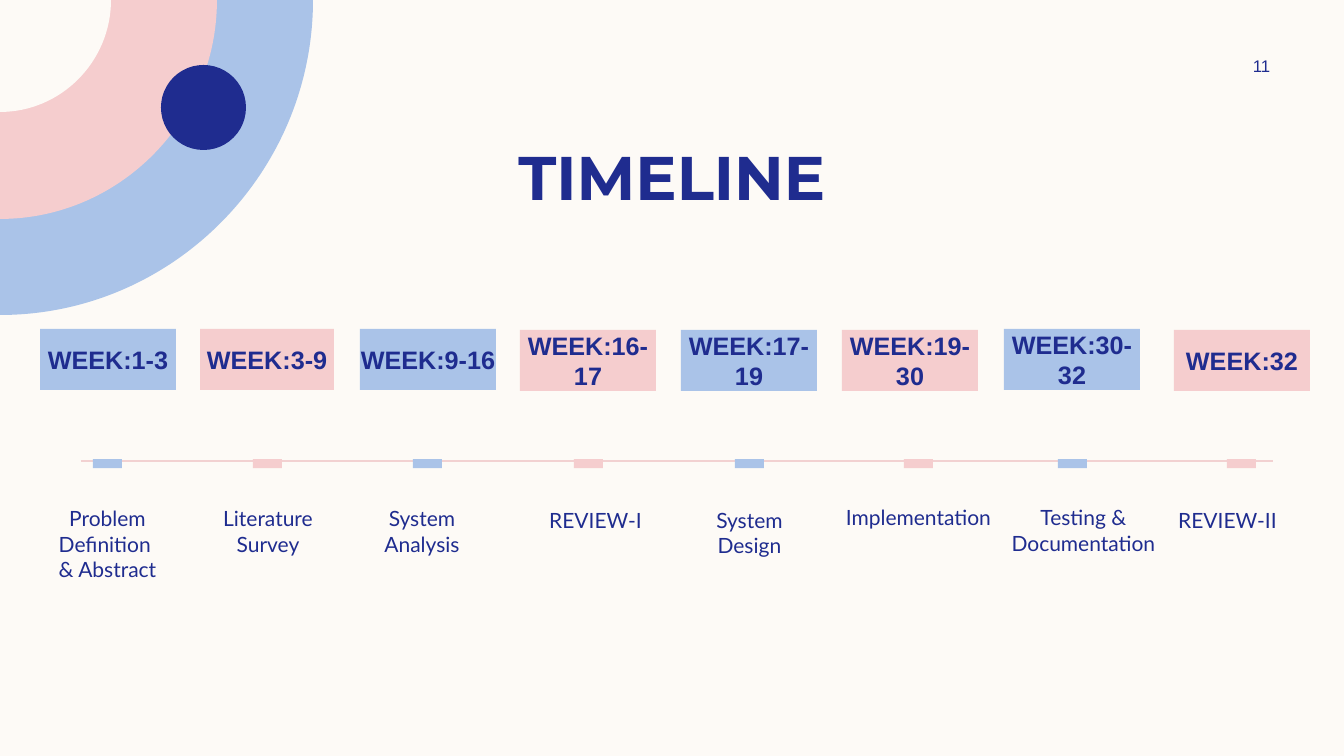
"""Build the project timeline slide with eight week milestones."""
from lxml import etree
from pptx import Presentation
from pptx.dml.color import RGBColor
from pptx.enum.shapes import MSO_CONNECTOR, MSO_SHAPE
from pptx.enum.text import MSO_ANCHOR, PP_ALIGN
from pptx.oxml.ns import qn
from pptx.util import Pt

SCALE = 914400 / 100.8
CREAM = RGBColor(0xFD, 0xFA, 0xF6)
BLUE = RGBColor(0xAA, 0xC3, 0xE8)
PINK = RGBColor(0xF5, 0xCD, 0xCE)
NAVY = RGBColor(0x1F, 0x2C, 0x8F)
LINE_PINK = RGBColor(0xF2, 0xD1, 0xD1)
RECTANGLE, OVAL = MSO_SHAPE.RECTANGLE, MSO_SHAPE.OVAL
STRAIGHT = MSO_CONNECTOR.STRAIGHT
CENTER = PP_ALIGN.CENTER
TOP, MIDDLE = MSO_ANCHOR.TOP, MSO_ANCHOR.MIDDLE
ROUNDNESS = 0.55


def px(*lengths):
    """Turn pixel lengths into EMU."""
    return [round(length * SCALE) for length in lengths]


def write(shape, text, font, size, bold=False, anchor=MIDDLE, inset=0):
    """Fill a shape with centred navy text."""
    frame = shape.text_frame
    frame.word_wrap = True
    frame.vertical_anchor = anchor
    frame.margin_left = frame.margin_right = 0
    frame.margin_top = frame.margin_bottom = px(inset)[0]
    frame.text = text
    for para in frame.paragraphs:
        para.alignment = CENTER
        para.font.name = font
        para.font.size = Pt(size)
        para.font.bold = bold
        para.font.color.rgb = NAVY


deck = Presentation()
deck.slide_width, deck.slide_height = px(1344, 756)
page = deck.slides.add_slide(deck.slide_layouts[5])
page.background.fill.solid()
page.background.fill.fore_color.rgb = CREAM
shapes = page.shapes

title = shapes.title
title.left, title.top, title.width, title.height = px(84, 133, 1176, 85)
write(title, "TIMELINE", "Montserrat", 44, bold=True, inset=5)

for radius_x, radius_y, color in [(313, 315, BLUE), (217, 219, PINK), (111, 112, CREAM)]:
    builder = shapes.build_freeform(0, 0)
    builder.add_line_segments([
        px(radius_x, 0),
        px(radius_x, radius_y * ROUNDNESS),
        px(radius_x * ROUNDNESS, radius_y),
        px(0, radius_y),
    ])
    quarter = builder.convert_to_shape()
    segments = list(quarter._element.iter(qn("a:lnTo")))
    curve = etree.Element(qn("a:cubicBezTo"))
    segments[0].addnext(curve)
    for segment in segments[1:4]:
        curve.append(segment[0])
        segment.getparent().remove(segment)
    quarter.shadow.inherit = False
    quarter.fill.solid()
    quarter.fill.fore_color.rgb = color
    quarter.line.fill.background()

dot = shapes.add_shape(OVAL, *px(161, 65, 85, 85))
dot.shadow.inherit = False
dot.fill.solid()
dot.fill.fore_color.rgb = NAVY
dot.line.fill.background()

axis = shapes.add_connector(STRAIGHT, *px(81, 461, 1273, 461))
axis.line.color.rgb = LINE_PINK
axis.line.width = Pt(1)
etree.SubElement(axis._element.spPr, qn("a:effectLst"))

number = shapes.add_textbox(*px(1207, 51, 109, 30))
write(number, "11", "Arial", 12)

milestones = [
    ("WEEK:1-3", 40, 329, 136, 103, "Problem Definition \n& Abstract", 45, 501, 125),
    ("WEEK:3-9", 200, 329, 134, 263, "Literature Survey", 195, 501, 146),
    ("WEEK:9-16", 360, 329, 136, 423, "System Analysis", 354, 501, 136),
    ("WEEK:16-17", 520, 330, 136, 584, "REVIEW-I", 533, 502, 125),
    ("WEEK:17-19", 681, 330, 136, 745, "System Design", 687, 502, 125),
    ("WEEK:19-30", 842, 330, 136, 914, "Implementation", 845, 500, 147),
    ("WEEK:30-32", 1004, 329, 136, 1068, "Testing & Documentation", 1010, 500, 147),
    ("WEEK:32", 1174, 330, 136, 1237, "REVIEW-II", 1165, 502, 125),
]
for index, milestone in enumerate(milestones):
    week, left, top, width, marker_left, label, label_left, label_top, label_width = milestone
    box = shapes.add_shape(RECTANGLE, *px(left, top, width, 61))
    marker = shapes.add_shape(RECTANGLE, *px(marker_left, 449, 9, 29))
    marker.rotation = 270
    for block in (box, marker):
        block.shadow.inherit = False
        block.fill.solid()
        block.fill.fore_color.rgb = PINK if index % 2 else BLUE
        block.line.fill.background()
    write(box, week, "Arial", 18, bold=True)
    caption = shapes.add_textbox(*px(label_left, label_top, label_width, 88))
    write(caption, label, "Lato", 15, anchor=TOP, inset=5)

deck.save("out.pptx")
